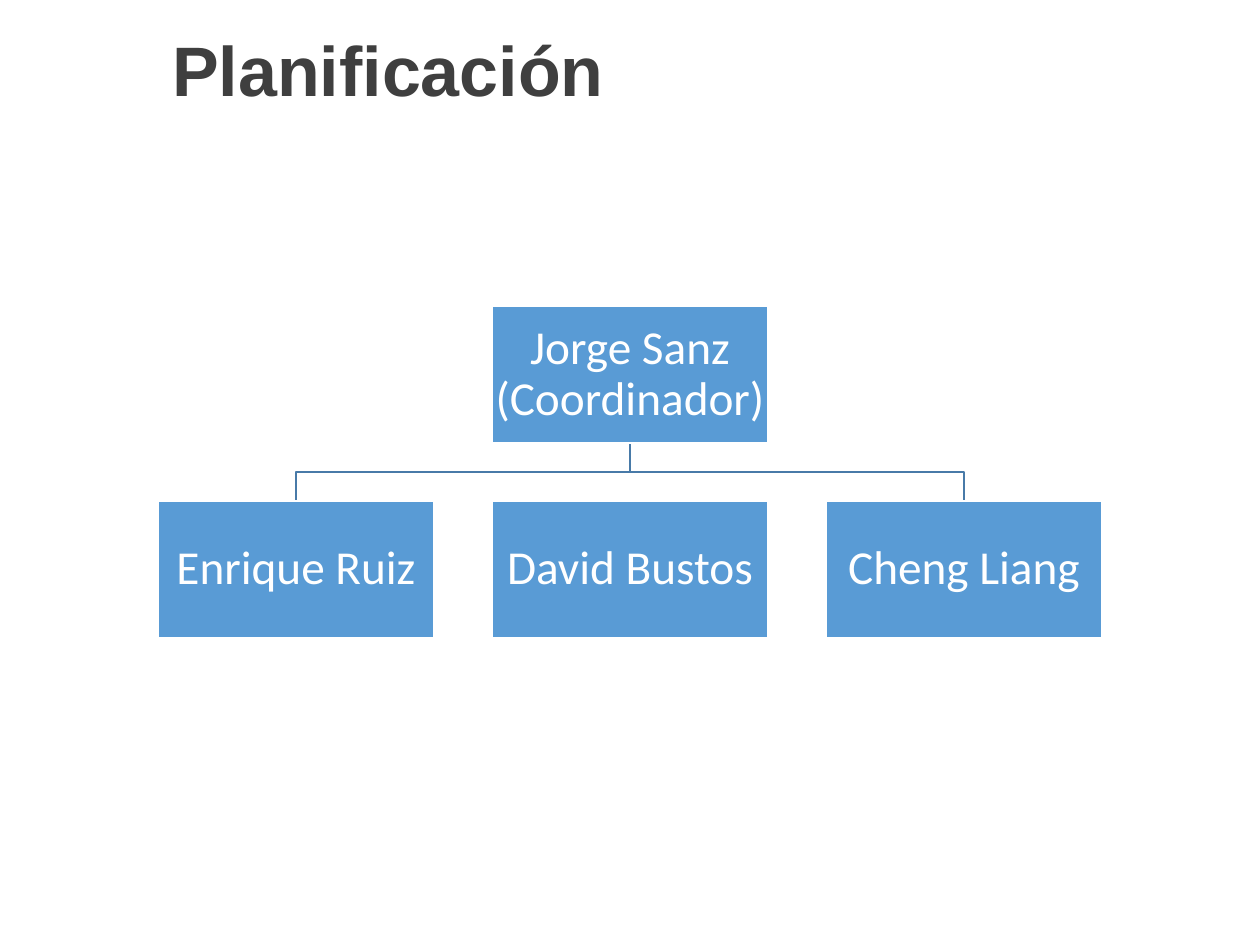
from pptx import Presentation
from pptx.dml.color import RGBColor
from pptx.enum.shapes import MSO_SHAPE
from pptx.enum.text import MSO_ANCHOR, PP_ALIGN
from pptx.util import Emu, Pt

RECTANGLE = MSO_SHAPE.RECTANGLE
MIDDLE = MSO_ANCHOR.MIDDLE
CENTER = PP_ALIGN.CENTER

EMU_PER_PX = 914400 / 126
COLORS = {"title": "3F3F3F", "box": "599BD5", "white": "FFFFFF", "branch": "487AA8"}


def px(length):
    return Emu(round(length * EMU_PER_PX))


def color(name):
    return RGBColor.from_string(COLORS[name])


class OrgChartPage:
    """Style of the organisation chart and the page it is drawn on."""

    title_font, title_size = "Arial", 40
    box_font, box_size = "Calibri", 27
    line_width = 1

    def __init__(self, deck):
        self.page = deck.slides.add_slide(deck.slide_layouts[6])

    def set_text(self, shape, text, font, size, ink, margin, bold=False):
        frame = shape.text_frame
        frame.word_wrap = True
        frame.vertical_anchor = MIDDLE
        frame.margin_left = frame.margin_right = px(margin)
        frame.margin_top = frame.margin_bottom = px(margin)
        frame.text = text
        para = frame.paragraphs[0]
        para.alignment = CENTER
        span = para.runs[0]
        span.font.name, span.font.size, span.font.bold = font, Pt(size), bold
        span.font.color.rgb = color(ink)
        return para

    def outline(self, shape, name):
        shape.shadow.inherit = False
        shape.line.color.rgb = color(name)
        shape.line.width = Pt(self.line_width)

    def title(self, text, left, top, width, height):
        box = self.page.shapes.add_textbox(px(left), px(top), px(width), px(height))
        self.set_text(box, text, self.title_font, self.title_size, "title", 13, bold=True)

    def person(self, name, left, top, width, height):
        box = self.page.shapes.add_shape(
            RECTANGLE, px(left), px(top), px(width), px(height))
        box.fill.solid()
        box.fill.fore_color.rgb = color("box")
        self.outline(box, "white")
        para = self.set_text(box, name, self.box_font, self.box_size, "white", 2)
        para.line_spacing = 0.9

    def branch(self, points):
        start, *others = [(px(x), px(y)) for x, y in points]
        builder = self.page.shapes.build_freeform(*start)
        builder.add_line_segments(others, close=False)
        elbow = builder.convert_to_shape()
        elbow.fill.background()
        self.outline(elbow, "branch")


def main():
    deck = Presentation()
    deck.slide_width, deck.slide_height = px(1260), px(945)
    chart = OrgChartPage(deck)

    chart.title("Planificación", 0, -10, 776, 157)

    # Chart grid: three columns centred on the page, two rows
    box_width, box_height = 276, 137
    center, pitch = 630, 334
    lead_top, team_top = 306, 501
    lead_bottom = lead_top + box_height
    bend = (lead_bottom + team_top) // 2

    # Branches to the outer columns
    for x in (center + pitch, center - pitch):
        chart.branch([(center, lead_bottom), (center, bend), (x, bend), (x, team_top)])

    # Coordinator and team
    left = center - box_width // 2
    chart.person("Jorge Sanz (Coordinador)", left, lead_top, box_width, box_height)
    team = ["Enrique Ruiz", "David Bustos", "Cheng Liang"]
    for column, name in enumerate(team, start=-1):
        chart.person(name, left + column * pitch, team_top, box_width, box_height)

    deck.save("out.pptx")


if __name__ == "__main__":
    main()
